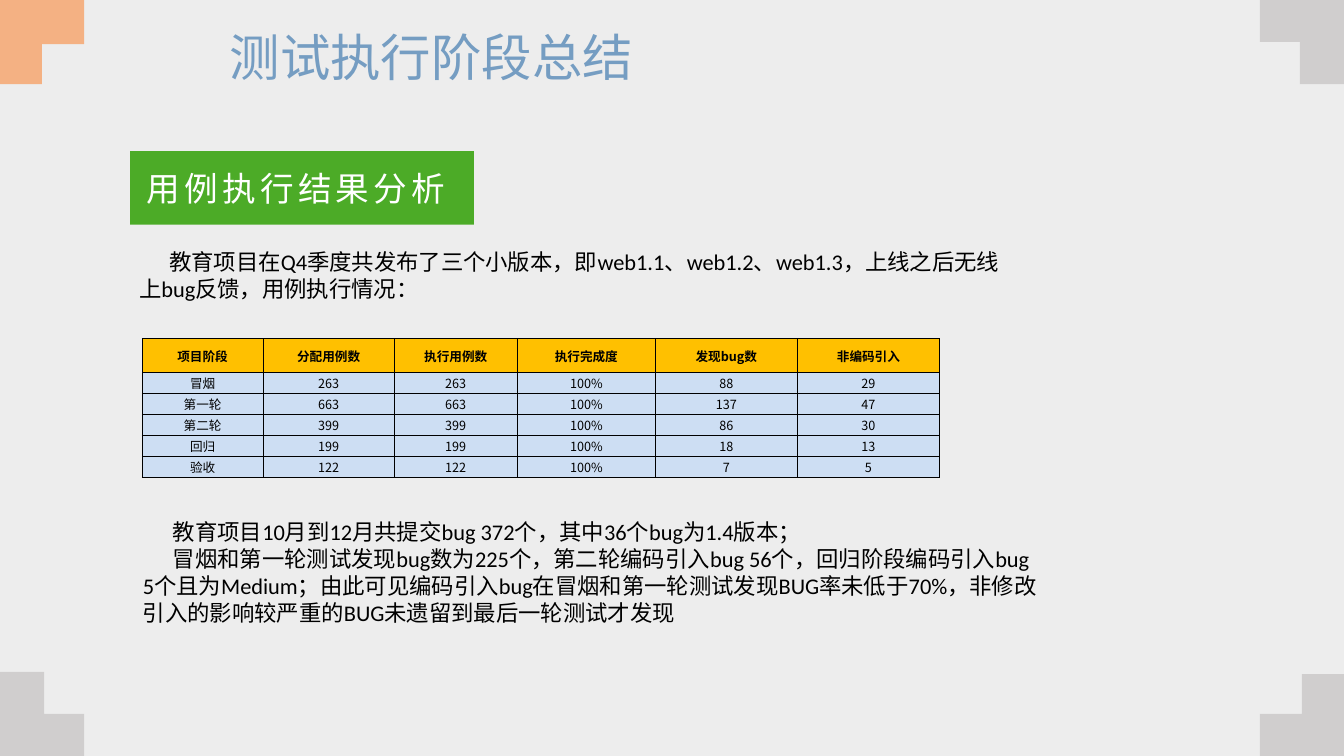
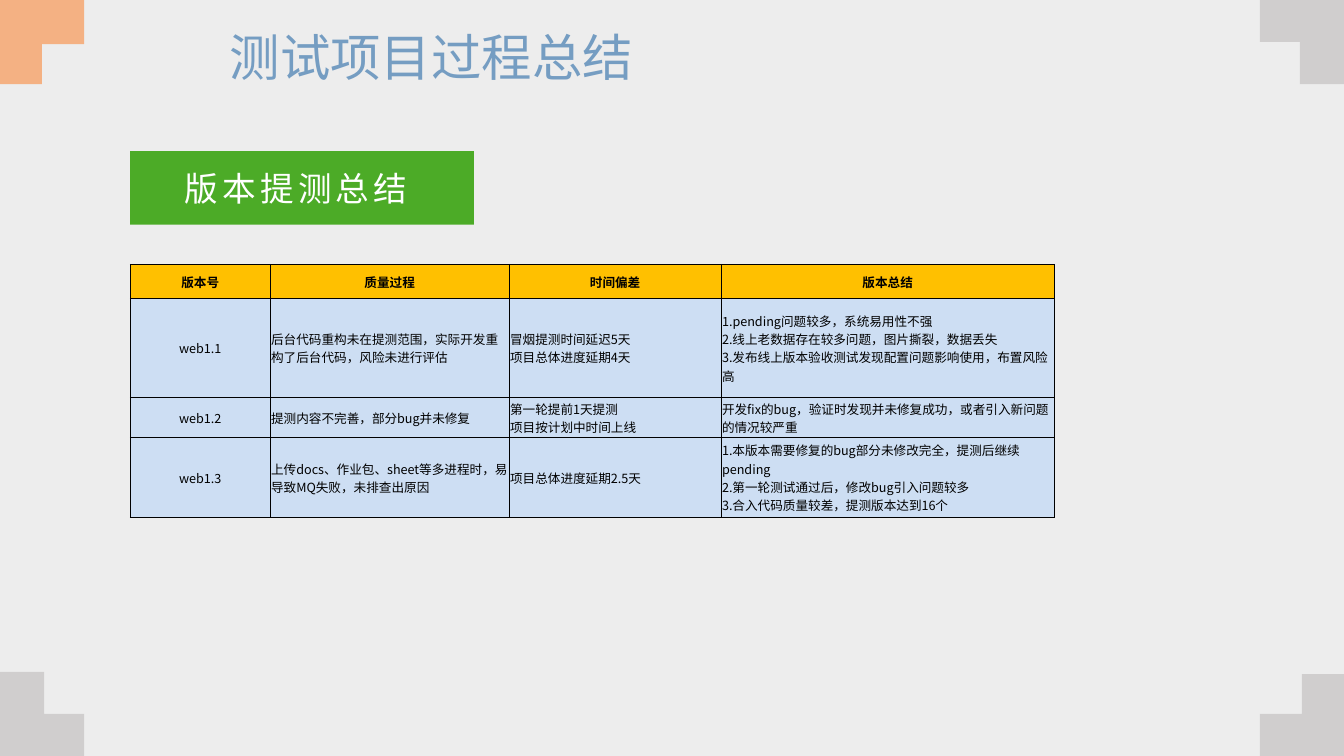
from dataclasses import dataclass

from lxml.etree import SubElement as Sub
from pptx import Presentation
from pptx.dml.color import RGBColor as Color
from pptx.enum.shapes import MSO_SHAPE as Form
from pptx.enum.text import MSO_ANCHOR as Anchor, PP_ALIGN as Align
from pptx.oxml import parse_xml
from pptx.oxml.ns import nsdecls, qn
from pptx.slide import Slide
from pptx.util import Pt

PAPER = Color(0xED, 0xED, 0xED)
GRAY = Color(0xD0, 0xCE, 0xCE)
PEACH = Color(0xF4, 0xB1, 0x83)
GREEN = Color(0x4C, 0xAB, 0x27)
BLUE = Color(0x75, 0x9D, 0xC2)
GOLD = Color(0xFF, 0xC0, 0x00)
PALE = Color(0xCD, 0xDE, 0xF3)
WHITE = Color(0xFF, 0xFF, 0xFF)
BLACK = Color(0x00, 0x00, 0x00)

SANS = "Noto Sans CJK SC"
LATIN = "Calibri"
WIDE, HIGH = 960, 540


@dataclass(frozen=True)
class Corner:
    x: float
    y: float
    right: int
    down: int
    post: float
    beam: float
    color: Color = GRAY


@dataclass(frozen=True)
class Box:
    x: float
    y: float
    w: float
    h: float


@dataclass(frozen=True)
class Grid:
    x: float
    y: float
    cols: list[float]
    rows: list[float]
    cells: list[list[str]]
    left: tuple[int, ...] = ()


@dataclass(frozen=True)
class Note:
    box: Box
    lines: list[str]


@dataclass(frozen=True)
class Page:
    title: str
    badge: str
    grid: Grid
    notes: tuple[Note, ...] = ()


THICK, THIN, REACH = 31.5, 30, 60
CORNERS = [
    Corner(0, HIGH, 1, -1, THICK, THIN),
    Corner(0, 0, 1, 1, THIN, THICK, PEACH),
    Corner(WIDE, 0, -1, 1, THICK, THIN),
    Corner(WIDE, HIGH + 1.5, -1, -1, THIN, THICK),
]
TITLE = Box(157, 20.2, 646.6, 48.2)
BADGE = Box(93, 108, 245.5, 52.5)

PAGES = [
    Page(
        "测试执行阶段总结",
        "用例执行结果分析",
        Grid(
            101.5, 241.7,
            [86.4, 93.6, 88, 98.6, 101.5, 101.5],
            [24] + [15] * 5,
            [
                ["项目阶段", "分配用例数", "执行用例数", "执行完成度", "发现bug数", "非编码引入"],
                ["冒烟", "263", "263", "100%", "88", "29"],
                ["第一轮", "663", "663", "100%", "137", "47"],
                ["第二轮", "399", "399", "100%", "86", "30"],
                ["回归", "199", "199", "100%", "18", "13"],
                ["验收", "122", "122", "100%", "7", "5"],
            ],
        ),
        (
            Note(Box(92.2, 173.5, 637.2, 46), [
                "教育项目在Q4季度共发布了三个小版本，即web1.1、web1.2、web1.3，"
                "上线之后无线上bug反馈，用例执行情况：",
            ]),
            Note(Box(95, 366.5, 653, 85), [
                "教育项目10月到12月共提交bug 372个，其中36个bug为1.4版本；",
                "冒烟和第一轮测试发现bug数为225个，第二轮编码引入bug 56个，"
                "回归阶段编码引入bug 5个且为Medium；由此可见编码引入bug在冒烟和"
                "第一轮测试发现BUG率未低于70%，非修改引入的影响较严重的BUG"
                "未遗留到最后一轮测试才发现",
            ]),
        ),
    ),
    Page(
        "测试项目过程总结",
        "版本提测总结",
        Grid(
            93, 188.8,
            [100, 170.7, 151.4, 238],
            [24, 71.2, 28.6, 57],
            [
                ["版本号", "质量过程", "时间偏差", "版本总结"],
                [
                    "web1.1",
                    "后台代码重构未在提测范围，实际开发重构了后台代码，风险未进行评估",
                    "冒烟提测时间延迟5天\n项目总体进度延期4天",
                    "1.pending问题较多，系统易用性不强\n"
                    "2.线上老数据存在较多问题，图片撕裂，数据丢失\n"
                    "3.发布线上版本验收测试发现配置问题影响使用，布置风险高",
                ],
                [
                    "web1.2",
                    "提测内容不完善，部分bug并未修复",
                    "第一轮提前1天提测\n项目按计划中时间上线",
                    "开发fix的bug，验证时发现并未修复成功，或者引入新问题的情况较严重",
                ],
                [
                    "web1.3",
                    "上传docs、作业包、sheet等多进程时，易导致MQ失败，未排查出原因",
                    "项目总体进度延期2.5天",
                    "1.本版本需要修复的bug部分未修改完全，提测后继续pending\n"
                    "2.第一轮测试通过后，修改bug引入问题较多\n"
                    "3.合入代码质量较差，提测版本达到16个",
                ],
            ],
            (1, 2, 3),
        ),
    ),
]


def style(para, size: float, color: Color, face: str = SANS,
          bold: bool = False, space: float = 0) -> None:
    font = para.font
    font.size, font.bold, font.name = Pt(size), bold, face
    font.color.rgb = color
    props = para._p.pPr.find(qn("a:defRPr"))
    Sub(props, qn("a:ea")).set("typeface", face)
    if space:
        props.set("spc", str(round(space * 100)))


def place(box: Box) -> tuple:
    return Pt(box.x), Pt(box.y), Pt(box.w), Pt(box.h)


def paint(shape, color: Color) -> None:
    shape.shadow.inherit = False
    shape.fill.solid()
    shape.fill.fore_color.rgb = color
    shape.line.fill.background()


def draw_corner(slide: Slide, corner: Corner) -> None:
    steps = [(0, 0), (0, REACH), (corner.post, REACH), (corner.post, corner.beam),
             (REACH, corner.beam), (REACH, 0)]
    points = [(Pt(corner.x + corner.right * x), Pt(corner.y + corner.down * y))
              for x, y in steps]
    pen = slide.shapes.build_freeform(*points[0])
    pen.add_line_segments(points[1:], close=True)
    paint(pen.convert_to_shape(), corner.color)


def draw_badge(slide: Slide, text: str) -> None:
    badge = slide.shapes.add_shape(Form.RECTANGLE, *place(BADGE))
    paint(badge, GREEN)
    frame = badge.text_frame
    frame.word_wrap = False
    frame.vertical_anchor = Anchor.MIDDLE
    frame.margin_left, frame.margin_right = Pt(0), Pt(8.6)
    para = frame.paragraphs[0]
    para.text, para.alignment = text, Align.CENTER
    style(para, 24, WHITE, space=3)


def draw_title(slide: Slide, text: str) -> None:
    frame = slide.shapes.add_textbox(*place(TITLE)).text_frame
    frame.word_wrap = True
    para = frame.paragraphs[0]
    para.text, para.line_spacing = text, 0.9
    style(para, 36, BLUE)


def draw_note(slide: Slide, note: Note) -> None:
    frame = slide.shapes.add_textbox(*place(note.box)).text_frame
    frame.word_wrap = True
    for i, line in enumerate(note.lines):
        para = frame.add_paragraph() if i else frame.paragraphs[0]
        para.text = line
        style(para, 16, BLACK, LATIN)
        para._p.pPr.set("marL", "0")
        para._p.pPr.set("indent", str(Pt(21.5)))


def fill_cell(cell, text: str, head: bool, left: bool) -> None:
    cell.margin_left = cell.margin_right = cell.margin_top = Pt(0.7)
    cell.margin_bottom = Pt(0)
    cell.vertical_anchor = Anchor.MIDDLE
    cell.fill.solid()
    cell.fill.fore_color.rgb = GOLD if head else PALE
    props = cell._tc.get_or_add_tcPr()
    for i, side in enumerate(("lnL", "lnR", "lnT", "lnB")):
        props.insert(i, parse_xml(
            f'<a:{side} {nsdecls("a")} w="{Pt(0.5)}"><a:solidFill>'
            f'<a:srgbClr val="{BLACK}"/></a:solidFill></a:{side}>'))
    para = cell.text_frame.paragraphs[0]
    para.text = text
    para.alignment = Align.LEFT if left else Align.CENTER
    style(para, 9, BLACK, bold=head)


def draw_grid(slide: Slide, grid: Grid) -> None:
    box = Box(grid.x, grid.y, sum(grid.cols), sum(grid.rows))
    table = slide.shapes.add_table(len(grid.rows), len(grid.cols), *place(box)).table
    table.horz_banding = False
    for col, width in zip(table.columns, grid.cols):
        col.width = Pt(width)
    for row, height in zip(table.rows, grid.rows):
        row.height = Pt(height)
    for r, texts in enumerate(grid.cells):
        for c, text in enumerate(texts):
            fill_cell(table.cell(r, c), text, r == 0, r > 0 and c in grid.left)


def draw_page(slide: Slide, page: Page) -> None:
    slide.background.fill.solid()
    slide.background.fill.fore_color.rgb = PAPER
    for corner in CORNERS:
        draw_corner(slide, corner)
    draw_badge(slide, page.badge)
    draw_title(slide, page.title)
    draw_grid(slide, page.grid)
    for note in page.notes:
        draw_note(slide, note)


def main() -> None:
    deck = Presentation()
    deck.slide_width, deck.slide_height = Pt(WIDE), Pt(HIGH)
    blank = deck.slide_layouts[6]
    for page in PAGES:
        draw_page(deck.slides.add_slide(blank), page)
    deck.save("out.pptx")


if __name__ == "__main__":
    main()
